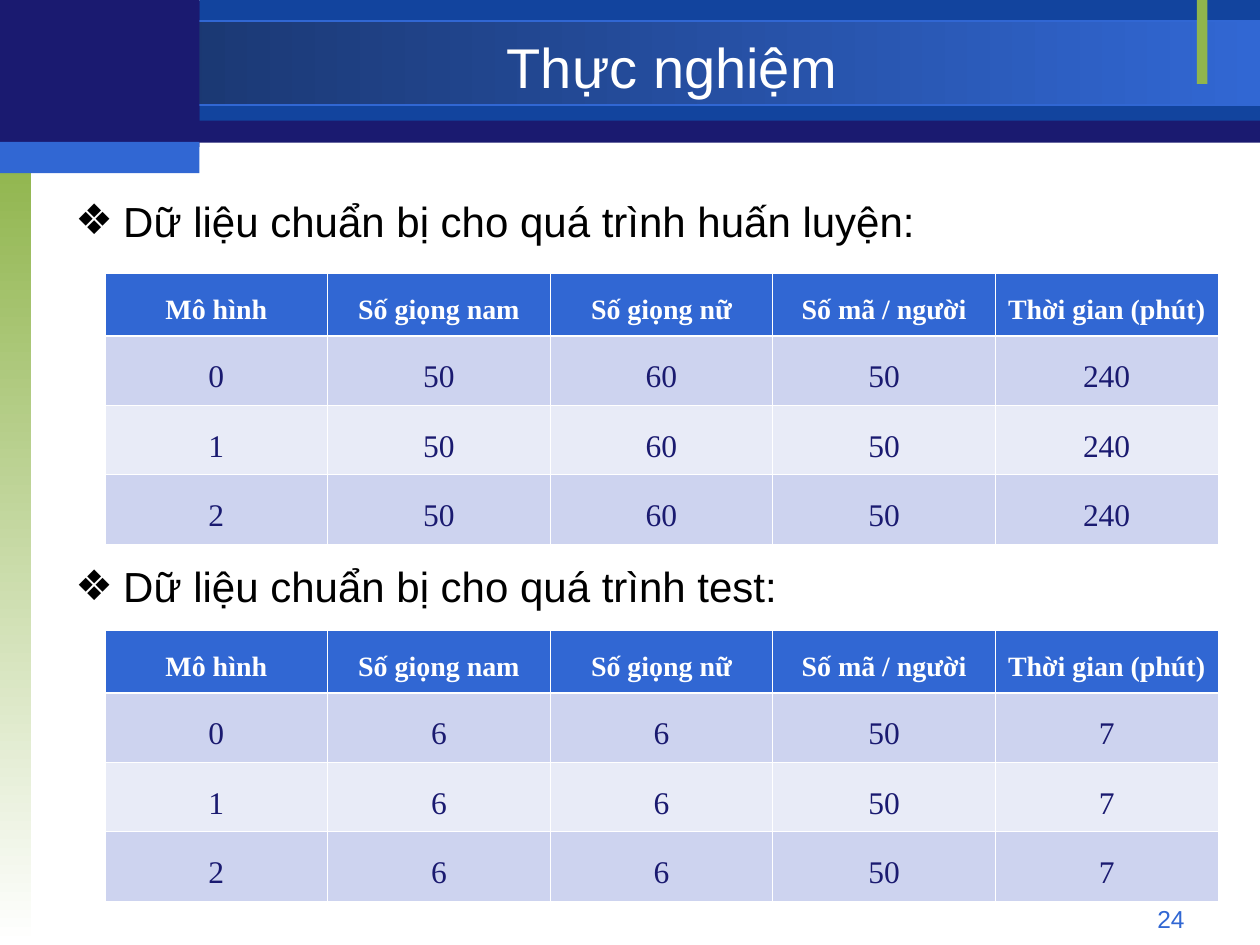
from collections import namedtuple

from lxml import etree
from pptx import Presentation, util as u
from pptx.dml.color import RGBColor
from pptx.enum import shapes, text
from pptx.oxml import ns

COLORS = {
    "navy": "1A1A70", "band": "12449E", "blue": "3167D3", "deep": "173062",
    "green": "90B54D", "white": "FFFFFF", "black": "000000",
    "stripe_dark": "CDD3EF", "stripe_light": "E8EBF7",
}
CELL = u.Inches(1 / 12)  # the slide is a grid of 120 columns by 90 rows
COLUMNS, ROWS = 120, 90
SIDE = 19  # columns taken by the block left of the title

Box = namedtuple("Box", "left top width height")

HEADINGS = ["Dữ liệu chuẩn bị cho quá trình huấn luyện:",
            "Dữ liệu chuẩn bị cho quá trình test:"]
TABLE_HEADER = ["Mô hình", "Số giọng nam", "Số giọng nữ", "Số mã / người",
                "Thời gian (phút)"]
TRAINING = ["50", "60", "50", "240"]
TEST = ["6", "6", "50", "7"]
MODELS = ["0", "1", "2"]


def rgb(name):
    return RGBColor.from_string(COLORS[name])


def inside(box, left, top, width, height):
    return Box(box.left + left, box.top + top, width, height)


def emu(box):
    return [round(value * CELL) for value in box]


def add_block(slide, box, *fill, angle=0, line=None):
    """Rectangle with one colour, or with a gradient between two."""
    shape = slide.shapes.add_shape(shapes.MSO_SHAPE.RECTANGLE, *emu(box))
    shape.shadow.inherit = False
    if len(fill) == 1:
        shape.fill.solid()
        shape.fill.fore_color.rgb = rgb(fill[0])
    else:
        shape.fill.gradient()
        shape.fill.gradient_angle = angle
        for stop, name in zip(shape.fill.gradient_stops, fill):
            stop.color.rgb = rgb(name)
    if line:
        shape.line.color.rgb = rgb(line)
        shape.line.width = u.Pt(0.75)
    else:
        shape.line.fill.background()


def style(paragraph, size, color, font="Arial", bold=False, align=None):
    paragraph.font.size = u.Pt(size)
    paragraph.font.name = font
    paragraph.font.bold = bold
    paragraph.font.color.rgb = rgb(color)
    paragraph.alignment = align


def add_text(slide, box, lines, size, color, align=None,
             anchor=text.MSO_ANCHOR.TOP):
    frame = slide.shapes.add_textbox(*emu(box)).text_frame
    frame.word_wrap = True
    frame.vertical_anchor = anchor
    frame.text = "\n".join(lines)
    for paragraph in frame.paragraphs:
        style(paragraph, size, color, align=align)
    return frame


def add_header(slide, box, title):
    right = box.width - SIDE
    add_block(slide, inside(box, 0, 0.1, box.width, 13.5), "navy")
    add_block(slide, inside(box, SIDE, 0, right, 11.5), "band")
    add_block(slide, inside(box, 0, 2, box.width, 8), "deep", "blue", line="blue")
    add_block(slide, inside(box, box.width - 6, 0, 1, 8), "green")
    add_block(slide, inside(box, 0, 0, SIDE, 14), "navy")
    add_block(slide, inside(box, 0, 13.5, SIDE, 3), "blue")
    add_text(slide, inside(box, SIDE, 2.75, 90, 7), [title], 32, "white",
             text.PP_ALIGN.CENTER, text.MSO_ANCHOR.MIDDLE)


def add_bullet(paragraph, character):
    properties = paragraph._p.get_or_add_pPr()
    properties.set("marL", str(u.Inches(0.38)))
    properties.set("indent", str(-u.Inches(0.38)))
    color = etree.SubElement(properties, ns.qn("a:buClr"))
    etree.SubElement(color, ns.qn("a:srgbClr"), val=COLORS["black"])
    etree.SubElement(properties, ns.qn("a:buFont"), typeface="Arial")
    etree.SubElement(properties, ns.qn("a:buChar"), char=character)


def add_headings(slide, box, headings):
    frame = add_text(slide, box, headings, 24, "black")
    # The wide gap leaves room for the table under the first heading.
    for paragraph, gap in zip(frame.paragraphs, (6, 180)):
        paragraph.space_before = u.Pt(gap)
        add_bullet(paragraph, "❖")


def add_borders(cell, row):
    """White cell borders, thicker between header and body."""
    widths = {"L": 0.45, "R": 0.45,
              "T": 1.47 if row == 1 else 0.45,
              "B": 1.47 if row == 0 else 0.45}
    properties = cell._tc.get_or_add_tcPr()
    for side, width in widths.items():
        line = etree.SubElement(properties, ns.qn(f"a:ln{side}"),
                                w=str(u.Pt(width)))
        fill = etree.SubElement(line, ns.qn("a:solidFill"))
        etree.SubElement(fill, ns.qn("a:srgbClr"), val=COLORS["white"])


def fill_cell(cell, row, value):
    add_borders(cell, row)
    cell.fill.solid()
    cell.margin_left = cell.margin_right = u.Inches(0.08)
    cell.margin_top = cell.margin_bottom = u.Inches(0.05)
    cell.text = value
    paragraph = cell.text_frame.paragraphs[0]
    paragraph.line_spacing = 1.5
    paragraph.space_after = u.Pt(10)
    if row == 0:
        fill, size, color = "blue", 16, "white"
    else:
        fill, size, color = ("stripe_dark" if row % 2 else "stripe_light"), 18, "navy"
    cell.fill.fore_color.rgb = rgb(fill)
    style(paragraph, size, color, "Times New Roman", row == 0,
          text.PP_ALIGN.CENTER)


def add_data_table(slide, box, counts):
    rows = [TABLE_HEADER] + [[model] + counts for model in MODELS]
    table = slide.shapes.add_table(len(rows), len(TABLE_HEADER), *emu(box)).table
    body_height = 5.4
    header_height = box.height - body_height * len(MODELS)
    for row, values in enumerate(rows):
        table.rows[row].height = round((body_height if row else header_height) * CELL)
        for column, value in enumerate(values):
            fill_cell(table.cell(row, column), row, value)


def main():
    presentation = Presentation()
    presentation.slide_width = COLUMNS * CELL
    presentation.slide_height = ROWS * CELL
    slide = presentation.slides.add_slide(presentation.slide_layouts[6])

    add_block(slide, Box(0, 15, 3, ROWS - 15), "green", "white", angle=270)
    add_header(slide, Box(0, 0, COLUMNS, 16.5), "Thực nghiệm")
    add_headings(slide, Box(6, 18, 108, 66), HEADINGS)
    add_text(slide, Box(86, 85.5, 28, 3.2), ["24"], 14, "blue",
             text.PP_ALIGN.RIGHT)
    for top, counts in ((26, TRAINING), (60, TEST)):
        add_data_table(slide, Box(10, top, 106, 21.1), counts)

    presentation.save("out.pptx")


if __name__ == "__main__":
    main()
